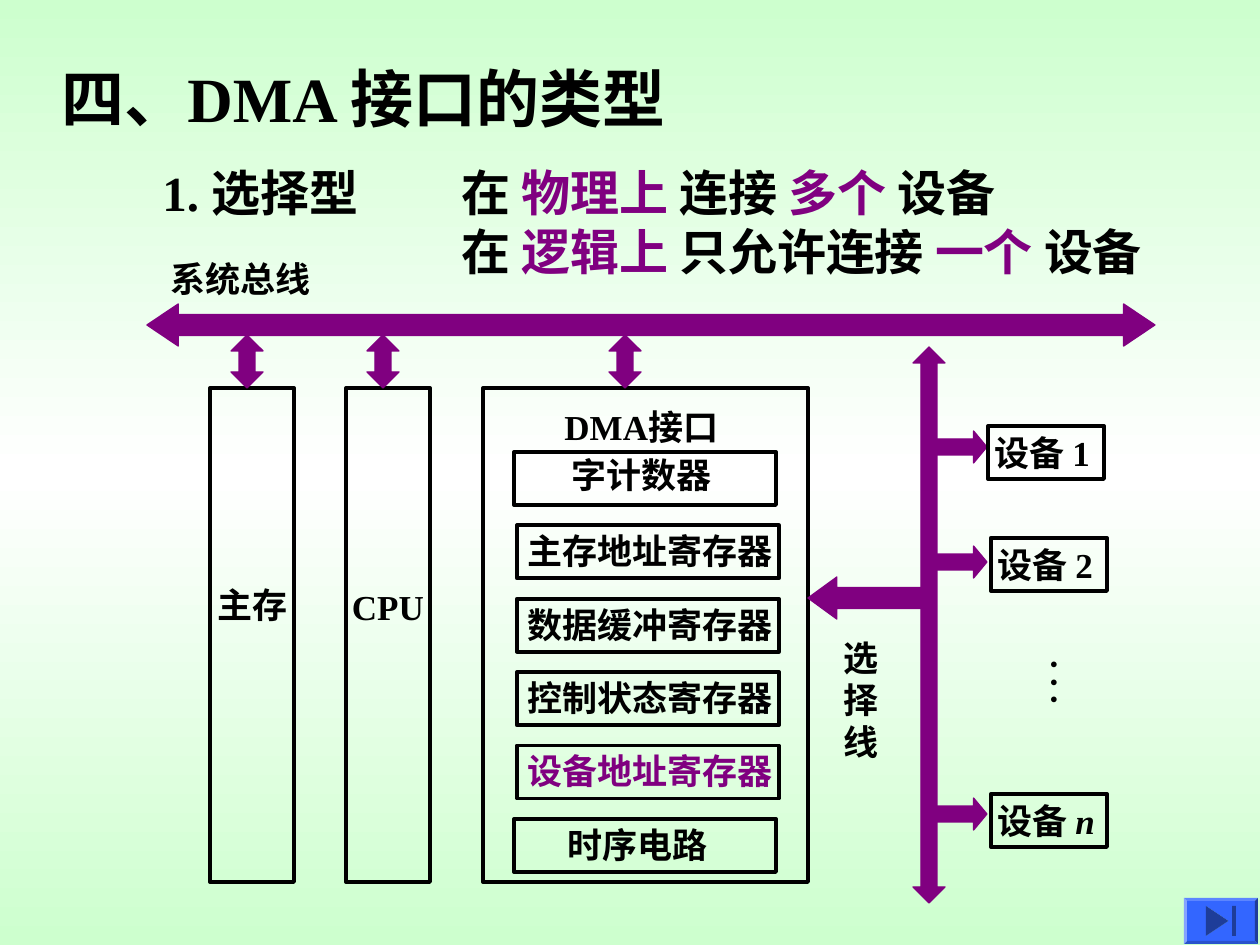
from copy import deepcopy

from pptx import Presentation
from pptx.dml.color import RGBColor
from pptx.enum.shapes import MSO_SHAPE
from pptx.enum.text import MSO_AUTO_SIZE
from pptx.oxml.ns import qn
from pptx.util import Emu, Pt

RECTANGLE = MSO_SHAPE.RECTANGLE
LEFT_RIGHT = MSO_SHAPE.LEFT_RIGHT_ARROW
UP_DOWN = MSO_SHAPE.UP_DOWN_ARROW
RIGHT = MSO_SHAPE.RIGHT_ARROW
LEFT = MSO_SHAPE.LEFT_ARROW
END_BUTTON = MSO_SHAPE.ACTION_BUTTON_END
FIT_SHAPE = MSO_AUTO_SIZE.SHAPE_TO_FIT_TEXT

EMU_PER_PX = 914400 / 126
FONT = "Times New Roman"
COLORS = {"ink": "000000", "accent": "800080", "button": "3366FF",
          "edge": "CDFFCE", "middle": "FFFFFF",
          "bevel top": "5C85FF", "bevel right": "1F3D99",
          "bevel bottom": "2952CC", "bevel left": "85A3FF"}
LINE_HEIGHT = 55  # height of a one-line label at 20 pt
SLACK = 8  # spare width that keeps a label on one line


def px(value):
    return Emu(round(value * EMU_PER_PX))


def rgb(name):
    return RGBColor.from_string(COLORS[name])


def add_text(page, box, lines, size=20, wrap=False, vertical=False):
    """Each line is a list of (text, color, italic) spans."""
    left, top, width, height = box
    if not (wrap or vertical):
        width += SLACK
    shape = page.shapes.add_textbox(px(left), px(top), px(width), px(height))
    frame = shape.text_frame
    frame.word_wrap = wrap
    frame.auto_size = FIT_SHAPE
    if vertical:
        frame.margin_left = frame.margin_right = Pt(3.6)
        frame.margin_top = frame.margin_bottom = Pt(7.2)
        frame._txBody.bodyPr.set("vert", "eaVert")
    for index, line in enumerate(lines):
        para = frame.add_paragraph() if index else frame.paragraphs[0]
        for text, color, italic in line:
            span = para.add_run()
            span.text = text
            span.font.name = FONT
            span.font.size = Pt(size)
            span.font.bold = True
            span.font.italic = italic or None
            span.font.color.rgb = rgb(color)


def add_label(page, box, text, color="ink", size=20):
    add_text(page, box, [[(text, color, False)]], size)


def add_frame(page, box):
    frame = page.shapes.add_shape(RECTANGLE, *map(px, box))
    frame.shadow.inherit = False
    frame.fill.background()
    frame.line.color.rgb = rgb("ink")
    frame.line.width = Pt(2.25)


def paint(shape, color):
    shape.shadow.inherit = False
    shape.fill.solid()
    shape.fill.fore_color.rgb = rgb(color)
    shape.line.fill.background()


def add_arrow(page, kind, box, head):
    arrow = page.shapes.add_shape(kind, *map(px, box))
    paint(arrow, "accent")
    # The up-down arrow lists its head before its shaft
    values = (head, 0.5) if kind == UP_DOWN else (0.5, head)
    arrow.adjustments[0], arrow.adjustments[1] = values
    arrow.line.color.rgb = rgb("accent")
    arrow.line.width = Pt(0.75)


def paint_background(page):
    fill = page.background.fill
    fill.gradient()
    fill.gradient_angle = 90
    stop_list = page._element.find(".//" + qn("a:gsLst"))
    stop_list.append(deepcopy(stop_list[0]))
    stops = zip(fill.gradient_stops, (0, 0.5, 1), ("edge", "middle", "edge"))
    for stop, position, color in stops:
        stop.position = position
        stop.color.rgb = rgb(color)


def add_heading(page, left, top):
    add_label(page, (left, top, 663, 88), "四、DMA 接口的类型", size=36)
    add_label(page, (left + 101, top + 103, 232, 72), "1. 选择型", size=28)
    parts = [("在 ", "物理上 ", "连接 ", "多个 ", "设备"),
             ("在 ", "逻辑上 ", "只允许连接 ", "一个 ", "设备")]
    # Every second span is emphasised
    lines = [[(text, "accent" if index % 2 else "ink", False)
              for index, text in enumerate(line)] for line in parts]
    add_text(page, (left + 400, top + 103, 769, 131), lines, 28, wrap=True)


def add_bus(page, left, top, width):
    add_label(page, (left + 11, top - 53, 165, LINE_HEIGHT), "系统总线")
    add_arrow(page, LEFT_RIGHT, (left, top, width, 42), 0.744)
    for offset in (84, 220, 462):
        add_arrow(page, UP_DOWN, (left + offset, top + 31, 32, 53), 0.333)


def add_column(page, left, top, height, text, text_top, text_width):
    add_frame(page, (left, top, 84, height))
    text_left = left + (84 - text_width) / 2
    add_label(page, (text_left, top + text_top, text_width, LINE_HEIGHT), text)


def add_interface(page, left, top, width, height):
    add_frame(page, (left, top, width, height))
    add_label(page, (left + 69, top + 11, 188, LINE_HEIGHT), "DMA接口")
    # Label, frame offset, label offset, label width, label rise, color
    rows = [("字计数器", 31, 76, 165, 5, "ink"),
            ("主存地址寄存器", 34, 32, 271, 2, "ink"),
            ("数据缓冲寄存器", 34, 32, 271, 2, "ink"),
            ("控制状态寄存器", 34, 32, 271, 2, "ink"),
            ("设备地址寄存器", 34, 32, 271, 2, "accent"),
            ("时序电路", 31, 72, 165, 2, "ink")]
    for index, (text, frame_x, text_x, text_width, rise, color) in enumerate(rows):
        row_top = top + 64 + index * 73.4
        add_frame(page, (left + frame_x, row_top, 262, 53))
        add_label(page, (left + text_x, row_top - rise, text_width, LINE_HEIGHT),
                  text, color)


def add_devices(page, left, top, height):
    # Selection line with its branch back to the interface
    add_arrow(page, UP_DOWN, (left, top, 32, height), 1.417)
    add_arrow(page, LEFT, (left - 105, top + 230, 116, 42), 0.688)
    add_text(page, (left - 82, top + 283, 60, 139),
             [[(character, "ink", False)] for character in "选择线"])

    # Number, frame offset, frame top, arrow top
    devices = [("1", 75, 79, 84), ("2", 78, 191, 199), ("n", 78, 447, 451)]
    for number, offset, frame_top, arrow_top in devices:
        add_arrow(page, RIGHT, (left + 21, top + arrow_top, 53, 32), 0.417)
        add_frame(page, (left + offset, top + frame_top, 116, 53))
        add_text(page, (left + offset - 6, top + frame_top - 1, 131, LINE_HEIGHT),
                 [[("设备 ", "ink", False), (number, "ink", number == "n")]])
    add_text(page, (left + 113, top + 301, 67, 57),
             [[(". . .", "ink", False)]], vertical=True)


def add_end_button(page, left, top, width, height, bevel):
    right, bottom = left + width, top + height
    outer = [(left, top), (right, top), (right, bottom), (left, bottom)]
    inner = [(left + bevel, top + bevel), (right - bevel, top + bevel),
             (right - bevel, bottom - bevel), (left + bevel, bottom - bevel)]
    face = (*inner[0], width - 2 * bevel, height - 2 * bevel)
    paint(page.shapes.add_shape(END_BUTTON, *map(px, face)), "button")
    # Bevelled sides, clockwise from the top
    for index, side in enumerate(("top", "right", "bottom", "left")):
        following = (index + 1) % 4
        builder = page.shapes.build_freeform(*outer[index], scale=EMU_PER_PX)
        builder.add_line_segments(
            [outer[following], inner[following], inner[index]], close=True)
        paint(builder.convert_to_shape(), "bevel " + side)


def main():
    deck = Presentation()
    deck.slide_width, deck.slide_height = px(1260), px(945)
    page = deck.slides.add_slide(deck.slide_layouts[6])
    paint_background(page)
    add_heading(page, 49, 53)
    add_interface(page, 483, 388, 325, 494)
    add_column(page, 210, 388, 494, "主存", 189, 94)
    add_column(page, 346, 388, 494, "CPU", 191, 97)
    add_bus(page, 147, 304, 1008)
    add_devices(page, 913, 347, 556)
    add_end_button(page, 1184, 898, 74, 46, 3)
    deck.save("out.pptx")


if __name__ == "__main__":
    main()
